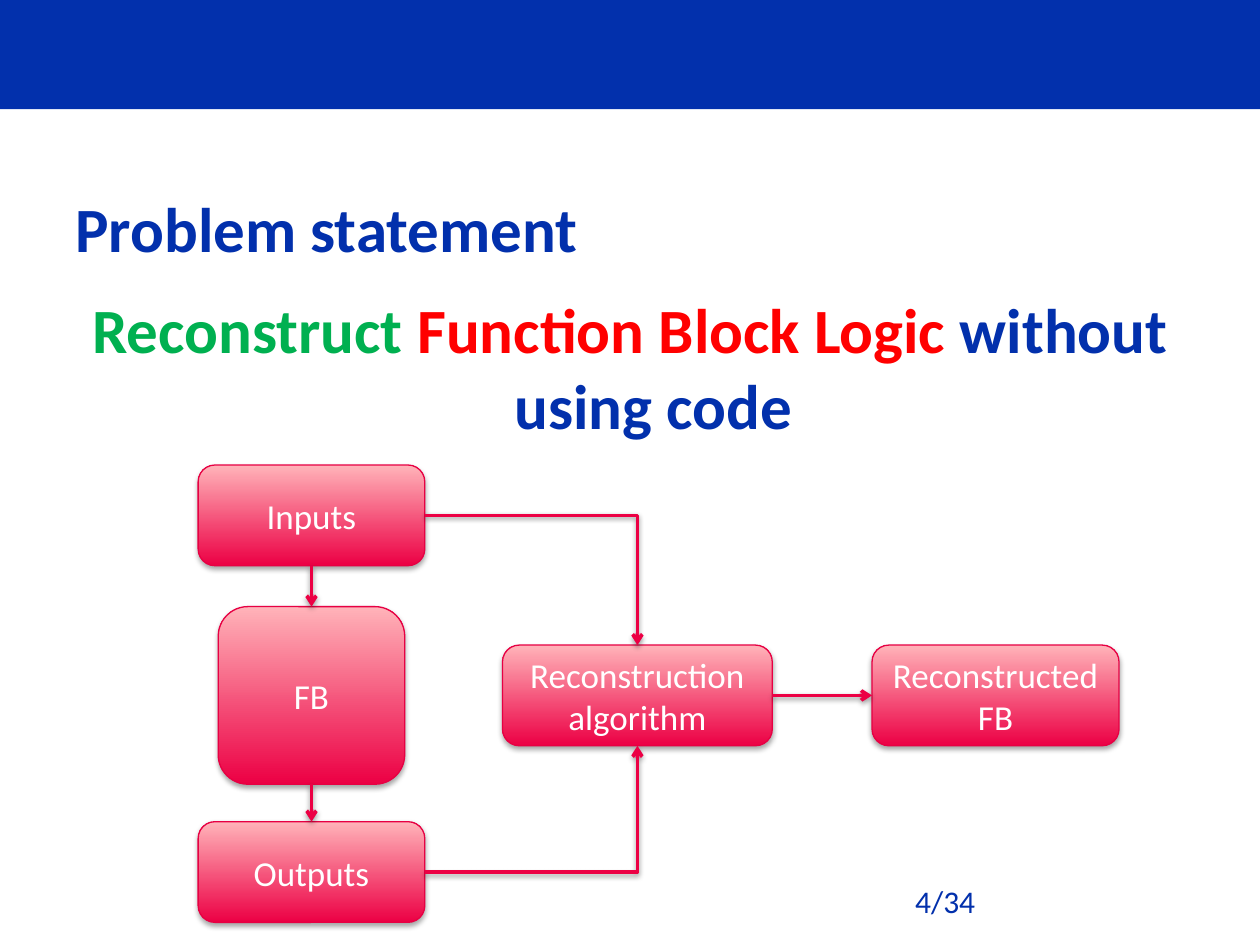
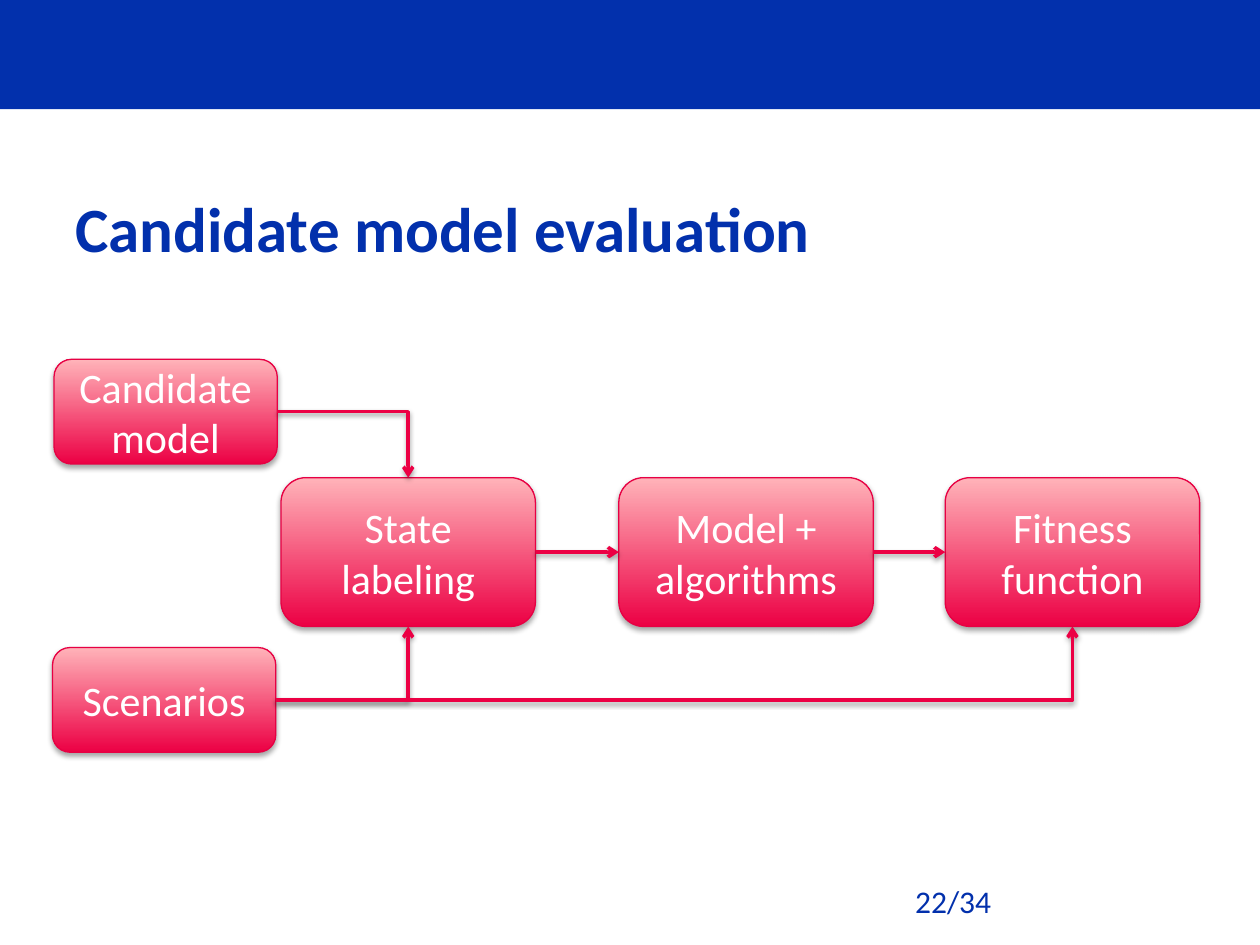
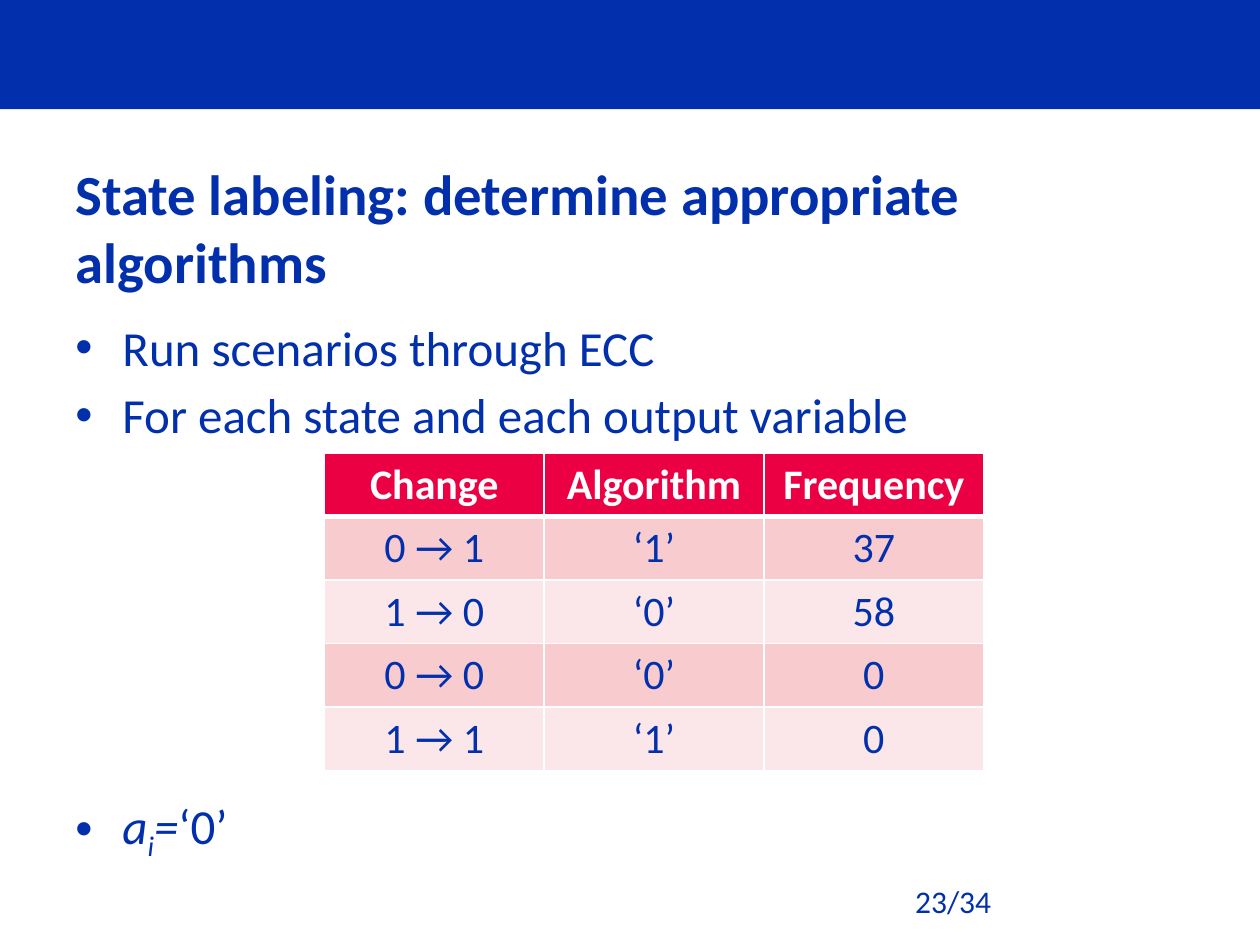
from dataclasses import dataclass

from lxml.etree import SubElement
from pptx import Presentation
from pptx.dml.color import RGBColor
from pptx.enum.shapes import MSO_CONNECTOR, MSO_SHAPE
from pptx.enum.text import MSO_ANCHOR, PP_ALIGN
from pptx.oxml.ns import qn
from pptx.util import Cm, Pt

TOP, LEFT, BOTTOM, RIGHT = range(4)


@dataclass(frozen=True)
class Theme:
    font: str = "Calibri"
    blue: RGBColor = RGBColor(0x02, 0x30, 0xAC)
    green: RGBColor = RGBColor(0x00, 0xB0, 0x50)
    red: RGBColor = RGBColor(0xFF, 0x00, 0x00)
    white: RGBColor = RGBColor(0xFF, 0xFF, 0xFF)
    crimson: RGBColor = RGBColor(0xEC, 0x00, 0x44)
    outline: RGBColor = RGBColor(0xE7, 0x00, 0x43)
    pink: RGBColor = RGBColor(0xFF, 0xB3, 0xB9)
    dark_row: RGBColor = RGBColor(0xF8, 0xCC, 0xCF)
    light_row: RGBColor = RGBColor(0xFB, 0xE7, 0xE9)
    title_size: float = 36
    long_title_size: float = 32.4
    body_size: float = 28
    large_size: float = 24
    box_size: float = 20
    footer_size: float = 18


def add_run(paragraph, text, *, size, color, font=Theme.font, bold=False, italic=False, baseline=0):
    run = paragraph.add_run()
    run.text = text
    run.font.name = font
    run.font.size = Pt(size)
    run.font.color.rgb = color
    run.font.bold = bold
    run.font.italic = italic
    if baseline:
        run.font._element.set("baseline", str(baseline * 1000))


def add_shadow(properties, opacity, distance):
    effects = properties.find(qn("a:effectLst"))
    if effects is None:
        effects = SubElement(properties, qn("a:effectLst"))
    shadow = SubElement(effects, qn("a:outerShdw"), blurRad=str(Pt(3.1)), dist=str(Pt(distance)),
                        dir="5400000", rotWithShape="0")
    color = SubElement(shadow, qn("a:srgbClr"), val="000000")
    SubElement(color, qn("a:alpha"), val=str(opacity * 1000))


def add_border(cell, side, color, width):
    line = SubElement(cell._tc.get_or_add_tcPr(), qn(f"a:ln{side}"), w=str(Pt(width)))
    fill = SubElement(line, qn("a:solidFill"))
    SubElement(fill, qn("a:srgbClr"), val=str(color))


class Deck:
    def __init__(self, theme, page_total):
        self.theme = theme
        self.page_total = page_total
        self.presentation = Presentation()
        self.presentation.slide_width = Cm(25.4)
        self.presentation.slide_height = Cm(19.05)
        self.slide = None

    def new_slide(self, title, page, title_size=Theme.title_size):
        self.slide = self.presentation.slides.add_slide(self.presentation.slide_layouts[6])
        band = self.slide.shapes.add_shape(MSO_SHAPE.RECTANGLE, 0, 0,
                                           self.presentation.slide_width, Cm(2.2))
        band.shadow.inherit = False
        band.fill.solid()
        band.fill.fore_color.rgb = self.theme.blue
        band.line.fill.background()
        frame = self.text_frame(1.27, 3.43, 22.86, 2.29)
        frame.vertical_anchor = MSO_ANCHOR.MIDDLE
        add_run(frame.paragraphs[0], title, size=title_size, color=self.theme.blue, bold=True)
        footer = self.text_frame(18.2, 17.65, 5.93, 1.03)
        add_run(footer.paragraphs[0], f"{page}/{self.page_total}",
                size=self.theme.footer_size, color=self.theme.blue)

    def text_frame(self, left, top, width, height):
        frame = self.slide.shapes.add_textbox(Cm(left), Cm(top), Cm(width), Cm(height)).text_frame
        frame.word_wrap = True
        return frame

    def body_paragraph(self, frame, runs, space_before, bullet=False, align=PP_ALIGN.LEFT):
        first = frame.paragraphs[0]
        paragraph = frame.add_paragraph() if first.runs else first
        paragraph.alignment = align
        paragraph.space_before = Pt(space_before)
        properties = paragraph._p.get_or_add_pPr()
        properties.set("marL", str(Cm(0.95)))
        properties.set("indent", str(-Cm(0.95)))
        if bullet:
            SubElement(properties, qn("a:buFont"), typeface="Arial")
            SubElement(properties, qn("a:buChar"), char="•")
        for text, style in runs:
            add_run(paragraph, text, **{"size": self.theme.body_size, "color": self.theme.blue, **style})

    def box(self, text, center_x, center_y, width, height, size):
        shape = self.slide.shapes.add_shape(
            MSO_SHAPE.ROUNDED_RECTANGLE, Cm(center_x - width / 2), Cm(center_y - height / 2),
            Cm(width), Cm(height))
        shape.fill.gradient()
        shape.fill.gradient_angle = 90
        for stop, color in zip(shape.fill.gradient_stops, (self.theme.crimson, self.theme.pink)):
            stop.color.rgb = color
        shape.line.color.rgb = self.theme.outline
        shape.line.width = Pt(0.75)
        shape.shadow.inherit = False
        add_shadow(shape._element.spPr, 35, 1.8)
        frame = shape.text_frame
        frame.word_wrap = True
        frame.vertical_anchor = MSO_ANCHOR.MIDDLE
        frame.paragraphs[0].alignment = PP_ALIGN.CENTER
        add_run(frame.paragraphs[0], text, size=size, color=self.theme.white)
        return shape

    def arrow(self, source, source_side, target, target_side, bent=False):
        kind = MSO_CONNECTOR.ELBOW if bent else MSO_CONNECTOR.STRAIGHT
        connector = self.slide.shapes.add_connector(kind, 0, 0, 0, 0)
        connector.begin_connect(source, source_side)
        connector.end_connect(target, target_side)
        connector.line.color.rgb = self.theme.crimson
        connector.line.width = Pt(2)
        properties = connector._element.spPr
        if bent:
            properties.find(qn("a:prstGeom")).set("prst", "bentConnector2")
        SubElement(properties.find(qn("a:ln")), qn("a:tailEnd"), type="arrow")
        add_shadow(properties, 38, 1.6)

    def table(self, rows, left, top, column_width, row_height):
        columns = len(rows[0])
        table = self.slide.shapes.add_table(
            len(rows), columns, Cm(left), Cm(top),
            Cm(column_width * columns), Cm(row_height * len(rows))).table
        for row_index, values in enumerate(rows):
            header = row_index == 0
            banding = self.theme.dark_row if row_index % 2 else self.theme.light_row
            widths = {"L": 1, "R": 1, "T": 3 if row_index == 1 else 1, "B": 3 if header else 1}
            for column_index, value in enumerate(values):
                cell = table.cell(row_index, column_index)
                for side, width in widths.items():
                    add_border(cell, side, self.theme.white, width)
                cell.fill.solid()
                cell.fill.fore_color.rgb = self.theme.crimson if header else banding
                paragraph = cell.text_frame.paragraphs[0]
                paragraph.alignment = PP_ALIGN.CENTER
                add_run(paragraph, value, size=self.theme.large_size, bold=header,
                        color=self.theme.white if header else self.theme.blue)


def build_problem_statement(deck):
    theme = deck.theme
    deck.new_slide("Problem statement", 4)
    frame = deck.text_frame(1.27, 5.74, 22.86, 10.74)
    strong = {"size": theme.title_size, "bold": True}
    deck.body_paragraph(frame, [
        ("Reconstruct ", {**strong, "color": theme.green}),
        ("Function Block Logic", {**strong, "color": theme.red}),
        (" without using code", strong),
    ], space_before=7, align=PP_ALIGN.CENTER)
    column, middle, height, size = 6.28, 14.02, 2.03, theme.box_size
    inputs = deck.box("Inputs", column, 10.39, 4.57, height, size)
    function_block = deck.box("FB", column, middle, 3.76, 3.58, size)
    outputs = deck.box("Outputs", column, 17.58, 4.57, height, size)
    algorithm = deck.box("Reconstruction algorithm", 12.85, middle, 5.44, height, size)
    reconstructed = deck.box("Reconstructed FB", 20.07, middle, 4.98, height, size)
    deck.arrow(inputs, BOTTOM, function_block, TOP)
    deck.arrow(function_block, BOTTOM, outputs, TOP)
    deck.arrow(algorithm, RIGHT, reconstructed, LEFT)
    deck.arrow(inputs, RIGHT, algorithm, TOP, bent=True)
    deck.arrow(outputs, RIGHT, algorithm, BOTTOM, bent=True)


def build_model_evaluation(deck):
    deck.new_slide("Candidate model evaluation", 22)
    size = deck.theme.large_size
    candidate = deck.box("Candidate model", 3.34, 8.3, 4.5, 2.11, size)
    scenarios = deck.box("Scenarios", 3.31, 14.11, 4.5, 2.11, size)
    labeling, algorithms, fitness = [
        deck.box(text, center_x, 11.13, 5.13, 3, size)
        for text, center_x in (("State labeling", 8.23), ("Model + algorithms", 15.04),
                               ("Fitness function", 21.62))]
    deck.arrow(candidate, RIGHT, labeling, TOP, bent=True)
    deck.arrow(scenarios, RIGHT, labeling, BOTTOM, bent=True)
    deck.arrow(labeling, RIGHT, algorithms, LEFT)
    deck.arrow(algorithms, RIGHT, fitness, LEFT)
    deck.arrow(scenarios, RIGHT, fitness, BOTTOM, bent=True)


def build_state_labeling(deck):
    deck.new_slide("State labeling: determine appropriate algorithms", 23, deck.theme.long_title_size)
    frame = deck.text_frame(1.27, 6.27, 22.86, 10.74)
    for text in ("Run scenarios through ECC", "For each state and each output variable"):
        deck.body_paragraph(frame, [(text, {})], space_before=5, bullet=True)
    deck.body_paragraph(frame, [
        ("a", {"italic": True}),
        ("i", {"italic": True, "baseline": -25}),
        ("=", {"italic": True}),
        ("‘0’", {}),
    ], space_before=201, bullet=True)
    deck.table([
        ("Change", "Algorithm", "Frequency"),
        ("0 → 1", "‘1’", "37"),
        ("1 → 0", "‘0’", "58"),
        ("0 → 0", "‘0’", "0"),
        ("1 → 1", "‘1’", "0"),
    ], left=6.54, top=9.13, column_width=4.43, row_height=1.28)


def main():
    deck = Deck(Theme(), page_total=34)
    build_problem_statement(deck)
    build_model_evaluation(deck)
    build_state_labeling(deck)
    deck.presentation.save("out.pptx")


if __name__ == "__main__":
    main()
